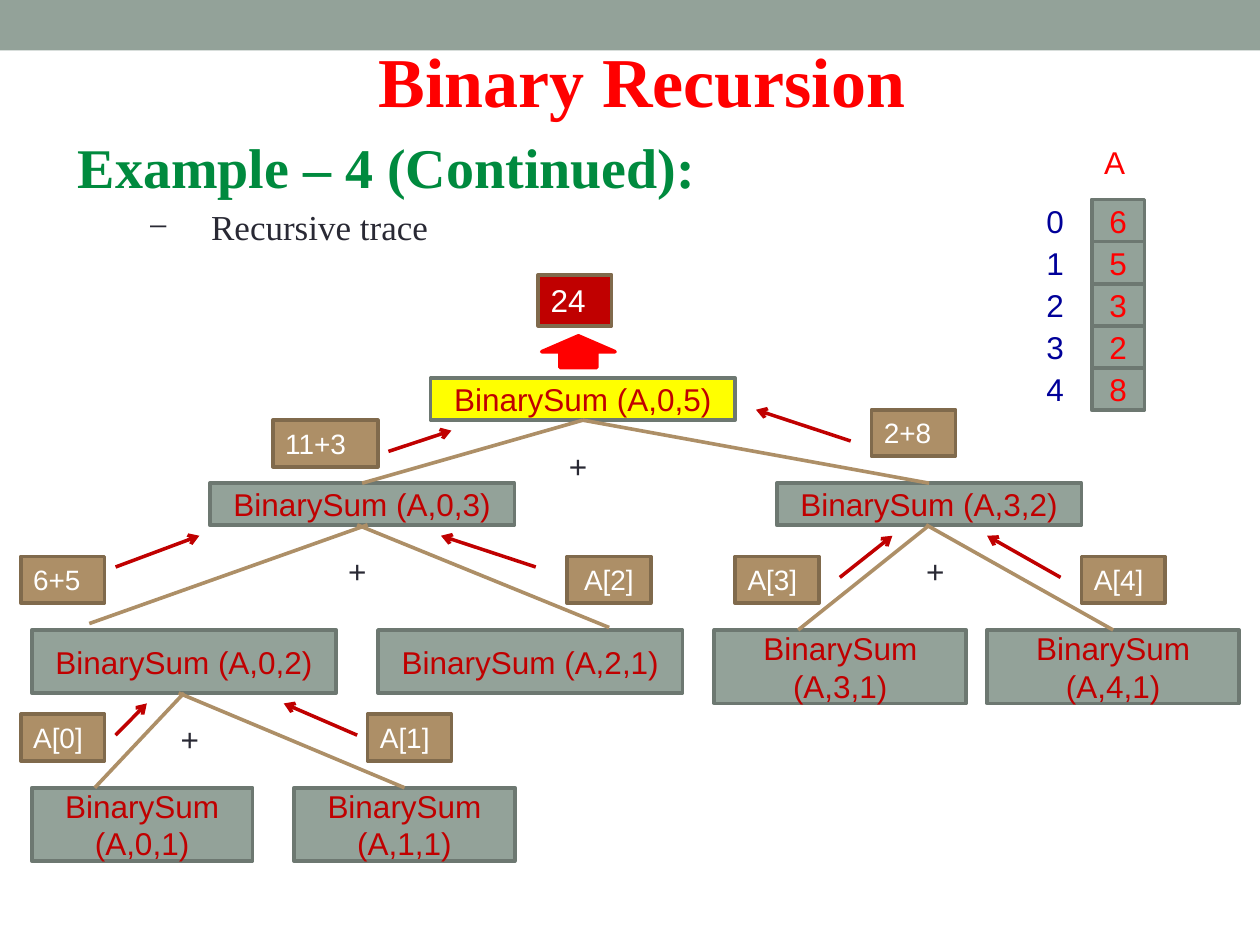
from pptx import Presentation
from pptx.dml.color import RGBColor
from pptx.enum.shapes import MSO_CONNECTOR, MSO_SHAPE
from pptx.enum.text import MSO_ANCHOR, MSO_AUTO_SIZE, PP_ALIGN
from pptx.oxml.ns import qn
from pptx.util import Cm, Pt
from lxml import etree

RECT, DOWN = MSO_SHAPE.RECTANGLE, MSO_SHAPE.DOWN_ARROW
LINE = MSO_CONNECTOR.STRAIGHT
LEFT, MID = PP_ALIGN.LEFT, PP_ALIGN.CENTER
TOP, CORE = MSO_ANCHOR.TOP, MSO_ANCHOR.MIDDLE
GROW, FIXED = MSO_AUTO_SIZE.SHAPE_TO_FIT_TEXT, MSO_AUTO_SIZE.NONE
SAGE, SLATE, TAN, BROWN = "93A299", "6D7871", "AD8F67", "806A4C"
RED, WINE, INK, NAVY = "FF0000", "C00000", "292934", "000099"
SERIF = "Times New Roman"

NODES = {
    "0,5": (8.68, 7.62, 6.14, 0.85),
    "3,2": (15.66, 9.74, 6.14, 0.85),
    "0,3": (4.23, 9.74, 6.14, 0.85),
    "2,1": (7.62, 12.7, 6.14, 1.27),
    "0,2": (0.64, 12.7, 6.14, 1.27),
    "0,1": (0.64, 15.88, 4.45, 1.48),
    "1,1": (5.93, 15.88, 4.45, 1.48),
    "4,1": (19.9, 12.7, 5.08, 1.48),
    "3,1": (14.4, 12.7, 5.08, 1.48),
}
EDGES = [
    ("0,5", "3,2"), ("0,5", "0,3"),
    ((7.41, 10.58), (1.8, 12.57)), ((7.2, 10.58), (12.28, 12.65)),
    ("0,2", (1.91, 15.88)), ((3.6, 13.97), "1,1"),
    ("3,2", (16.09, 12.7)), ((18.67, 10.58), "4,1"),
]
TAGS = [
    ("A[0]", 0.42, 14.4, 1.69, LEFT),
    ("A[1]", 7.41, 14.4, 1.69, LEFT),
    ("6+5", 0.42, 11.22, 1.69, LEFT),
    ("11+3", 5.5, 8.47, 2.12, LEFT),
    ("A[3]", 14.82, 11.22, 1.69, LEFT),
    ("A[4]", 21.8, 11.22, 1.69, LEFT),
    ("2+8", 17.57, 8.26, 1.69, LEFT),
    ("A[2]", 11.43, 11.22, 1.69, MID),
]
ARROWS = [
    ((2.33, 14.82), (2.96, 14.18)), ((7.2, 14.82), (5.72, 14.18)),
    ((2.33, 11.43), (4.02, 10.8)), ((7.83, 9.1), (9.1, 8.68)),
    ((16.93, 11.64), (17.99, 10.8)), ((21.38, 11.64), (19.9, 10.8)),
    ((17.15, 8.89), (15.24, 8.26)), ((10.8, 11.43), (8.89, 10.8)),
]
PLUSES = [(3.39, 14.4), (6.77, 11), (11.22, 8.89), (18.42, 11)]


def tint(code):
    return RGBColor.from_string(code)


def write(shape, words, size=18, color=INK, font="Arial", bold=False,
          align=LEFT, anchor=TOP, grow=False, wrap=True):
    frame = shape.text_frame
    frame.word_wrap = wrap
    frame.auto_size = GROW if grow else FIXED
    frame.vertical_anchor = anchor
    para = frame.paragraphs[0]
    para.alignment = align
    run = para.add_run()
    run.text = words
    run.font.name, run.font.size, run.font.bold = font, Pt(size), bold
    run.font.color.rgb = tint(color)
    return para


def block(home, box, fill, edge=None, kind=RECT):
    shape = home.add_shape(kind, *map(Cm, box))
    shape.shadow.inherit = False
    shape.fill.solid()
    shape.fill.fore_color.rgb = tint(fill)
    if edge:
        shape.line.color.rgb = tint(edge)
        shape.line.width = Pt(2.08)
    else:
        shape.line.fill.background()
    return shape


def label(home, box, words, **form):
    return write(home.add_textbox(*map(Cm, box)), words, **form)


def link(home, start, end, color, width):
    line = home.add_connector(LINE, *map(Cm, start + end))
    line.line.color.rgb = tint(color)
    line.line.width = Pt(width)
    etree.SubElement(line._element.spPr, qn("a:effectLst"))
    return line


def arrow(home, start, end):
    line = link(home, start, end, WINE, 2)
    etree.SubElement(line.line._get_or_add_ln(), qn("a:tailEnd"), type="arrow")


def branch(home, nodes, start, end):
    spots = [(0, 0) if spot in nodes else spot for spot in (start, end)]
    line = link(home, *spots, TAN, 2.08)
    if start in nodes:
        line.begin_connect(nodes[start], 2)
    if end in nodes:
        line.end_connect(nodes[end], 0)


def tree(home):
    nodes = {}
    for args, box in NODES.items():
        fill = "FFFF00" if args == "0,5" else SAGE
        nodes[args] = block(home, box, fill, SLATE)
        write(nodes[args], f"BinarySum (A,{args})", color=WINE,
              align=MID, anchor=CORE)
    for start, end in EDGES:
        branch(home, nodes, start, end)
    for left, top in PLUSES:
        label(home, (left, top, 1.06, 1.03), "+", grow=True)


def trace(home):
    for words, left, top, width, align in TAGS:
        tag = block(home, (left, top, width, 0.94), TAN, BROWN)
        write(tag, words, size=16, color="FFFFFF", align=align, grow=True)
    for start, end in ARROWS:
        arrow(home, start, end)
    rise = block(home, (10.92, 6.77, 1.48, 0.64), RED, RED, DOWN)
    rise.rotation = 180
    total = block(home, (10.85, 5.54, 1.48, 1.03), WINE, BROWN)
    write(total, "24", color="FFFFFF", grow=True)


def array(home):
    group = home.add_group_shape().shapes
    for index, value in enumerate("65328"):
        top = 4.02 + index * 0.85
        cell = block(group, (22.01, top, 1.06, 0.85), SAGE, SLATE)
        write(cell, value, color=RED, align=MID, anchor=CORE)
        label(group, (20.74, top, 1.06, 0.85), str(index), color=NAVY,
              align=MID, anchor=CORE)
    label(group, (22.01, 2.75, 1.06, 1.03), "A", color=RED, grow=True)


def heading(home):
    block(home, (0, 0, 25.4, 1.02), SAGE)
    label(home, (7.39, 0.64, 11.25, 1.96), "Binary Recursion", size=40,
          color=RED, font=SERIF, bold=True, grow=True, wrap=False)
    label(home, (1.32, 2.54, 13.23, 1.6), "Example – 4 (Continued):", size=32,
          color="008A3E", font=SERIF, bold=True, grow=True, wrap=False)
    point = label(home, (2.74, 4.02, 18.85, 1.12), " Recursive trace",
                  size=20, font=SERIF, grow=True)
    point.level = 2
    props = point._p.get_or_add_pPr()
    props.set("marL", str(Cm(1.09)))
    props.set("indent", str(Cm(-1.09)))
    etree.SubElement(props, qn("a:buFont"), typeface=SERIF)
    etree.SubElement(props, qn("a:buChar"), char="−")


def main():
    deck = Presentation()
    deck.slide_width, deck.slide_height = Cm(25.4), Cm(19.05)
    home = deck.slides.add_slide(deck.slide_layouts[6]).shapes
    heading(home)
    tree(home)
    array(home)
    trace(home)
    deck.save("out.pptx")


if __name__ == "__main__":
    main()
